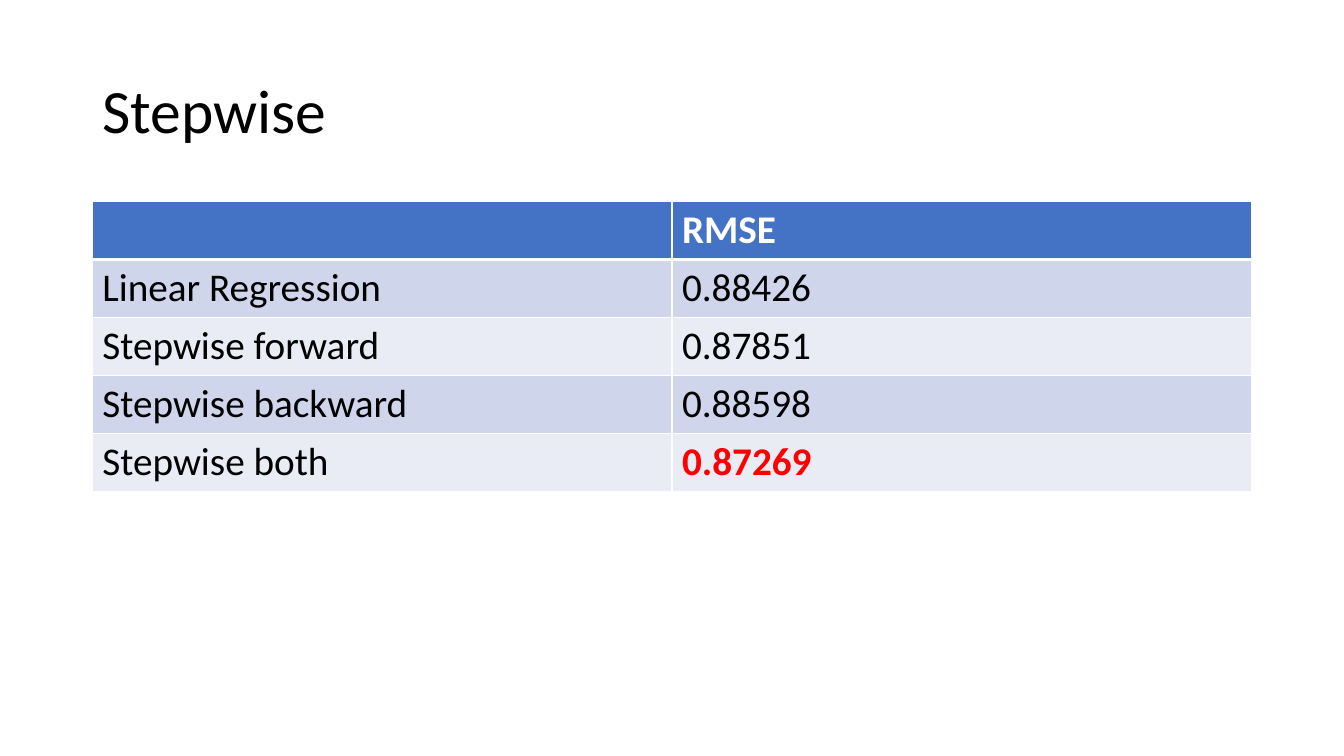
from lxml import etree
from pptx import Presentation
from pptx.dml.color import RGBColor
from pptx.enum import text
from pptx.oxml import ns
from pptx.util import Pt

LEFT, WIDTH = 66, 828
ROW_HEIGHT = 41.4
HEADER, BANDS = "4472C4", ("CFD5EA", "E9EBF5")
ROWS = [
    ("", "RMSE"),
    ("Linear Regression", "0.88426"),
    ("Stepwise forward", "0.87851"),
    ("Stepwise backward", "0.88598"),
    ("Stepwise both", "0.87269"),
]
BEST = "0.87269"


def write(frame, words, size, color="000000", bold=False, spacing=None):
    paragraph = frame.paragraphs[0]
    paragraph.line_spacing = spacing
    font = paragraph.font
    if words:
        run = paragraph.add_run()
        run.text = words
        font = run.font
    font.name = "Calibri"
    font.size = Pt(size)
    font.bold = bold
    font.color.rgb = RGBColor.from_string(color)


def add_border(cell, side, width):
    """Draw one white cell border; side is L, R, T or B, added in that order."""
    line = etree.SubElement(cell._tc.get_or_add_tcPr(), ns.qn(f"a:ln{side}"), w=str(Pt(width)))
    fill = etree.SubElement(line, ns.qn("a:solidFill"))
    etree.SubElement(fill, ns.qn("a:srgbClr"), val="FFFFFF")


presentation = Presentation()
presentation.slide_width, presentation.slide_height = Pt(960), Pt(540)
slide = presentation.slides.add_slide(presentation.slide_layouts[6])

title = slide.shapes.add_textbox(Pt(LEFT), Pt(28.8), Pt(WIDTH), Pt(104.4)).text_frame
title.word_wrap = True
title.vertical_anchor = text.MSO_ANCHOR.MIDDLE
write(title, "Stepwise", 44, spacing=0.9)

table = slide.shapes.add_table(
    len(ROWS), 2, Pt(LEFT), Pt(144), Pt(WIDTH), Pt(ROW_HEIGHT * len(ROWS))
).table
for row_index, values in enumerate(ROWS):
    table.rows[row_index].height = Pt(ROW_HEIGHT)
    is_header = row_index == 0
    for column_index, value in enumerate(values):
        cell = table.cell(row_index, column_index)
        widths = {"L": 1, "R": 1, "T": 3 if row_index == 1 else 1, "B": 3 if is_header else 1}
        for side, width in widths.items():
            add_border(cell, side, width)
        cell.fill.solid()
        fill_color = HEADER if is_header else BANDS[(row_index - 1) % 2]
        cell.fill.fore_color.rgb = RGBColor.from_string(fill_color)
        color = "FFFFFF" if is_header else "FF0000" if value == BEST else "000000"
        write(cell.text_frame, value, 28, color, bold=is_header or value == BEST)

presentation.save("out.pptx")
